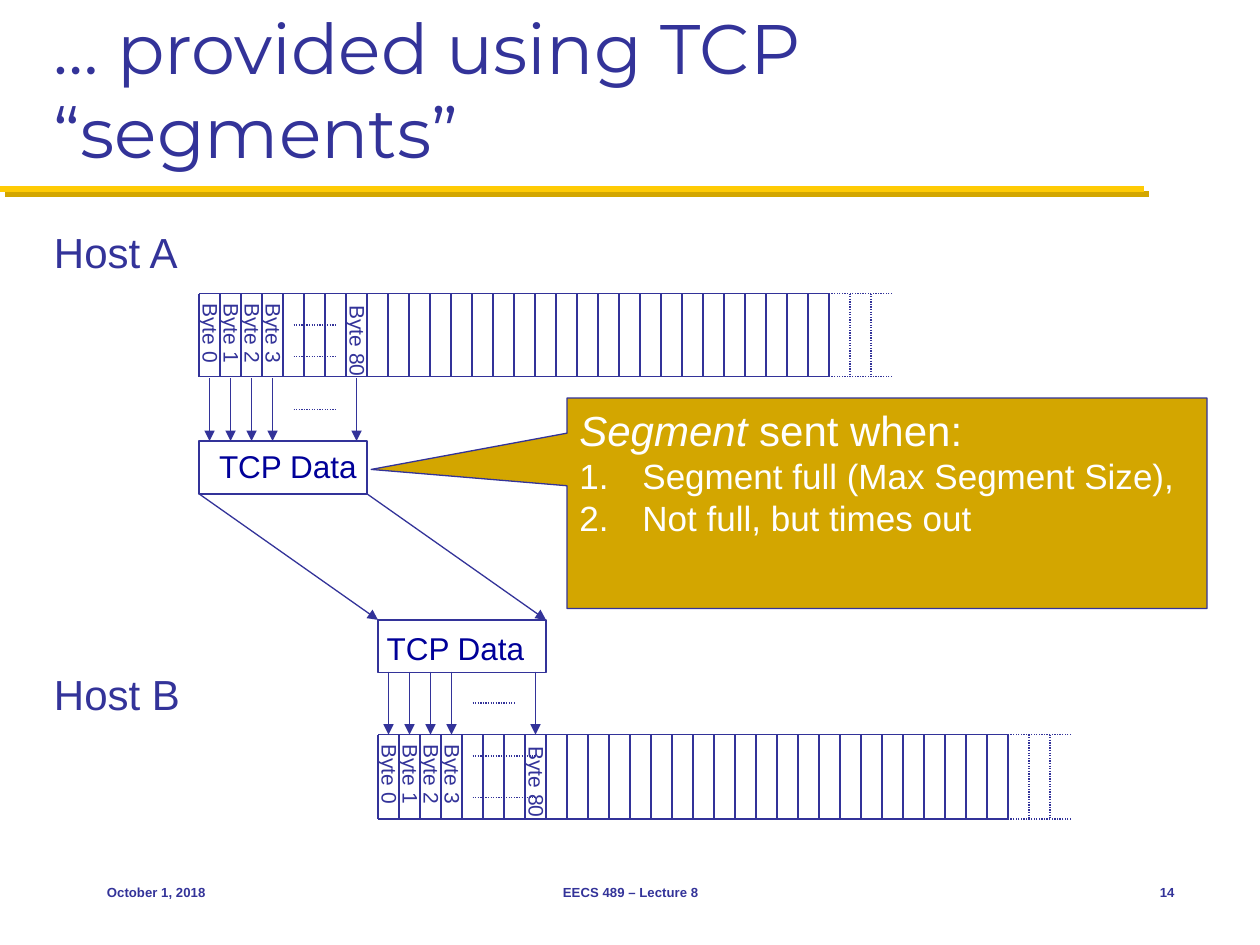
from pptx import Presentation
from pptx import util as u
from pptx.dml.color import RGBColor
from pptx.enum import dml, shapes, text
from pptx.oxml import parse_xml
from pptx.oxml.ns import nsdecls

I = u.Inches
COLORS = {"ink": "333399", "label": "000099", "gold": "FFCB05",
          "dark_gold": "D3A600", "white": "FFFFFF"}
CELL = 1 / 6          # width of one byte
CELLS, OPEN_CELLS = 30, 3
ARROW_CELLS = (0, 1, 2, 3, 7)
PACKET_W, PACKET_H = 8 * CELL, 0.42


def rgb(name):
    return RGBColor.from_string(COLORS[name])


def style_runs(p, size, color, font="Arial", bold=False):
    for r in p.runs:
        r.font.size, r.font.name, r.font.bold = u.Pt(size), font, bold
        r.font.color.rgb = rgb(color)


def add_line(s, x1, y1, x2, y2, color="ink", width=0.75, dotted=False,
             arrow=False, effect=""):
    c = s.shapes.add_connector(shapes.MSO_CONNECTOR.STRAIGHT,
                               I(x1), I(y1), I(x2), I(y2))
    c.line.color.rgb = rgb(color)
    c.line.width = u.Pt(width)
    if dotted:
        c.line.dash_style = dml.MSO_LINE.ROUND_DOT
    if arrow:
        c.line._get_or_add_ln().append(
            parse_xml(f'<a:tailEnd {nsdecls("a")} type="triangle"/>'))
    c._element.spPr.append(
        parse_xml(f'<a:effectLst {nsdecls("a")}>{effect}</a:effectLst>'))
    return c


def add_text(s, x, y, w, h, content, size, color="ink", font="Arial",
             wrap=False, anchor="TOP", align="LEFT", bold=False):
    sp = s.shapes.add_textbox(I(x), I(y), I(w), I(h))
    tf = sp.text_frame
    tf.word_wrap = wrap
    tf.vertical_anchor = text.MSO_ANCHOR[anchor]
    p = tf.paragraphs[0]
    p.text = content
    p.alignment = text.PP_ALIGN[align]
    style_runs(p, size, color, font, bold)
    return sp


def add_box(s, kind, x, y, w, h, fill):
    sp = s.shapes.add_shape(kind, I(x), I(y), I(w), I(h))
    sp.shadow.inherit = False
    sp.fill.solid()
    sp.fill.fore_color.rgb = rgb(fill)
    sp.line.color.rgb = rgb("ink")
    sp.line.width = u.Pt(0.75)
    return sp


def add_header(s, x, y, w, h):
    shadow = ('<a:outerShdw dist="53340" dir="2700000" algn="ctr" rotWithShape="0">'
              f'<a:srgbClr val="{COLORS["dark_gold"]}"/></a:outerShdw>')
    add_line(s, 0, y + 1.33, 9.08, y + 1.33, "gold", 3.5, effect=shadow)
    add_text(s, x, y, w, h, "… provided using TCP “segments”", 40,
             font="Montserrat", wrap=True, anchor="BOTTOM")


def add_byte_label(s, cx, cy, w, content):
    add_text(s, cx - w / 2, cy - 0.15, w, 0.3, content, 12).rotation = 90


def add_byte_stream(s, x, y, h, dots_y, dots_w):
    end, open_end = x + CELLS * CELL, x + (CELLS + OPEN_CELLS) * CELL
    # Top and bottom edges, dotted where the stream goes on
    for edge in (y, y + h):
        add_line(s, x, edge, end, edge)
        add_line(s, open_end, edge, end, edge, dotted=True)
    # Cell walls
    for i in range(CELLS + OPEN_CELLS):
        cx = x + i * CELL
        add_line(s, cx, y, cx, y + h, dotted=i > CELLS)
    # Byte names and the dots between them
    for i in range(4):
        add_byte_label(s, x + (i + 0.5) * CELL + 0.01, y + 0.32, 0.68, f"Byte {i}")
    add_byte_label(s, x + 7.5 * CELL + 0.01, y + 0.38, 0.77, "Byte 80")
    for dy in dots_y:
        add_line(s, x + 0.75, y + dy, x + 0.75 + dots_w, y + dy, dotted=True)


def add_packet(s, x, y, text_dx, text_dy):
    add_box(s, shapes.MSO_SHAPE.RECTANGLE, x, y, PACKET_W, PACKET_H, "white")
    add_text(s, x + text_dx, y + text_dy, 1.31, 0.4, "TCP Data", 18, "label")


def add_byte_arrows(s, x, y, h):
    for i in ARROW_CELLS:
        cx = x + (i + 0.5) * CELL
        add_line(s, cx, y, cx, y + h, arrow=True)
    add_line(s, x + 0.75, y + h / 2, x + 1.08, y + h / 2, dotted=True)


def add_callout(s, x, y, w, h):
    sp = add_box(s, shapes.MSO_SHAPE.RECTANGULAR_CALLOUT, x, y, w, h, "dark_gold")
    sp.adjustments[0], sp.adjustments[1] = -0.806, -0.161
    tf = sp.text_frame
    tf.word_wrap = True
    tf.vertical_anchor = text.MSO_ANCHOR.TOP
    lines = [("Segment", " sent when:"), ("Segment full (Max Segment Size),",),
             ("Not full, but times out",)]
    for i, parts in enumerate(lines):
        p = tf.add_paragraph() if i else tf.paragraphs[0]
        p.alignment = text.PP_ALIGN.LEFT
        pPr = p._p.get_or_add_pPr()
        pPr.set("marL", str(I(0.5)))
        pPr.set("indent", str(I(-0.5)))
        if i:
            pPr.append(parse_xml(
                f'<a:buAutoNum {nsdecls("a")} type="arabicPeriod"/>'))
        for part in parts:
            p.add_run().text = part
        style_runs(p, 20 if i else 24, "white")
    tf.paragraphs[0].runs[0].font.italic = True


def add_footer(s, y, h):
    for x, w, content, align in ((0.75, 2.08, "October 1, 2018", "LEFT"),
                                 (3.42, 3.17, "EECS 489 – Lecture 8", "CENTER"),
                                 (8.75, 0.67, "14", "RIGHT")):
        add_text(s, x, y, w, h, content, 7.5, anchor="MIDDLE", align=align,
                 bold=True, wrap=True)


def main():
    prs = Presentation()
    prs.slide_width, prs.slide_height = I(10), I(7.5)
    s = prs.slides.add_slide(prs.slide_layouts[6])
    ax, bx = 1.58, 3.0

    add_header(s, 0.33, 0.17, 9.33, 1.25)

    # Host A: bytes are gathered into a segment
    add_text(s, 0.33, 1.75, 1.2, 0.5, "Host A", 24)
    add_byte_stream(s, ax, 2.33, 0.66, (0.25, 0.5), 0.34)
    add_packet(s, ax, 3.5, 0.06, 0)
    add_byte_arrows(s, ax, 3.0, 0.5)

    # Host B: the segment is unpacked into bytes
    add_text(s, 0.33, 5.26, 1.21, 0.5, "Host B", 24)
    add_byte_stream(s, bx, 5.83, 0.67, (0.17, 0.5), 0.5)
    add_packet(s, bx, 4.92, -0.03, 0.02)
    add_byte_arrows(s, bx, 5.33, 0.5)

    # Transfer between the hosts
    for dx in (0, PACKET_W):
        add_line(s, ax + dx, 3.5 + PACKET_H, bx + dx, 4.92, arrow=True)

    add_callout(s, 4.5, 3.16, 5.08, 1.67)
    add_footer(s, 6.83, 0.5)
    prs.save("out.pptx")


if __name__ == "__main__":
    main()
